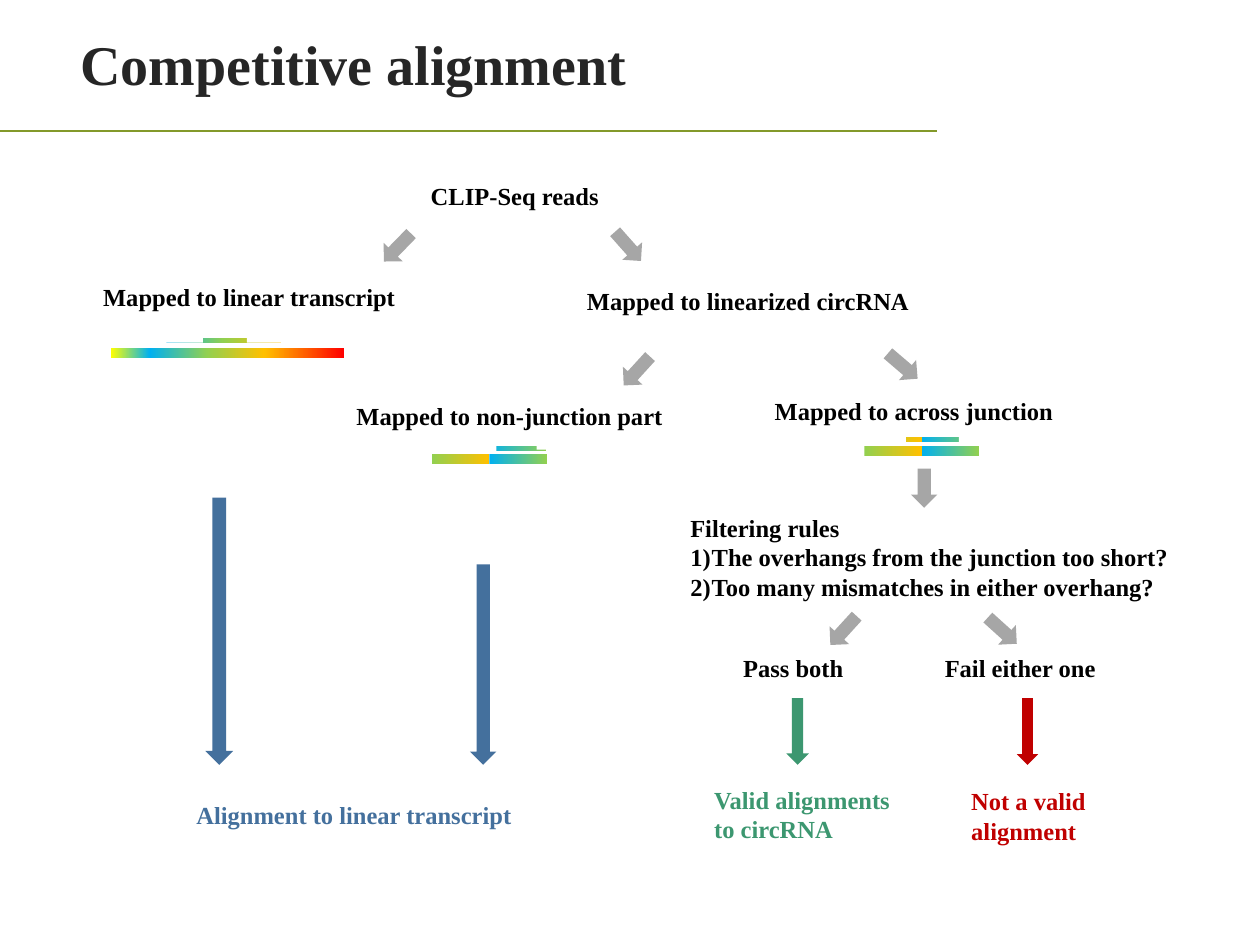
from dataclasses import dataclass

from lxml import etree
from pptx import Presentation
from pptx.dml.color import RGBColor
from pptx.enum.shapes import MSO_CONNECTOR, MSO_SHAPE
from pptx.enum.text import MSO_ANCHOR, MSO_AUTO_SIZE
from pptx.oxml.ns import qn
from pptx.util import Inches, Pt

RECTANGLE = MSO_SHAPE.RECTANGLE
DOWN_ARROW = MSO_SHAPE.DOWN_ARROW
STRAIGHT = MSO_CONNECTOR.STRAIGHT
MIDDLE = MSO_ANCHOR.MIDDLE
FIT_SHAPE = MSO_AUTO_SIZE.SHAPE_TO_FIT_TEXT
NO_FIT = MSO_AUTO_SIZE.NONE


@dataclass(frozen=True)
class Theme:
    font: str = "Times New Roman"
    title_size: int = 32
    body_size: int = 14
    title: str = "262626"
    text: str = "000000"
    rule: str = "83992A"
    step: str = "A6A6A6"
    linear: str = "44709D"
    valid: str = "3C9770"
    invalid: str = "C00000"
    mask: str = "FFFFFF"


THEME = Theme()

# Transcript segments: width, start colour, end colour
HEAD = (0.31, "FFFF00", "00B0F0")
EXON_A = (0.455, "00B0F0", "92D050")
EXON_B = (0.455, "92D050", "FFC000")
TAIL = (0.63, "FFC000", "FF0000")
LINEAR_TRANSCRIPT = (HEAD, EXON_A, EXON_B, TAIL)
CIRCULAR_TRANSCRIPT = (EXON_B, EXON_A)


def color(value):
    return RGBColor.from_string(value)


def add_block(shapes, kind, box, fill):
    shape = shapes.add_shape(kind, *(Inches(length) for length in box))
    shape.shadow.inherit = False
    shape.line.fill.background()
    if isinstance(fill, str):
        shape.fill.solid()
        shape.fill.fore_color.rgb = color(fill)
    else:
        shape.fill.gradient()
        shape.fill.gradient_angle = 0
        for stop, value in zip(shape.fill.gradient_stops, fill):
            stop.color.rgb = color(value)
    return shape


def add_arrow(slide, box, fill=THEME.step, rotation=0):
    arrow = add_block(slide.shapes, DOWN_ARROW, box, fill)
    arrow.rotation = rotation


def add_step_arrow(slide, left, top, rotation=0):
    add_arrow(slide, (left, top, 0.21, 0.31), rotation=rotation)


def add_bar(slide, left, top, height, segments, masks=()):
    """Row of gradient segments, trimmed to a read by white masks."""
    group = slide.shapes.add_group_shape()
    for width, start, end in segments:
        add_block(group.shapes, RECTANGLE, (left, top, width, height), (start, end))
        left += width
    for box in masks:
        add_block(group.shapes, RECTANGLE, box, THEME.mask)


def add_text(slide, box, text, fill=THEME.text, size=THEME.body_size,
             wrap=True, fit=FIT_SHAPE):
    frame = slide.shapes.add_textbox(*(Inches(length) for length in box)).text_frame
    frame.word_wrap = wrap
    frame.auto_size = fit
    frame.text = text
    for paragraph in frame.paragraphs:
        font = paragraph.runs[0].font
        font.name = THEME.font
        font.size = Pt(size)
        font.bold = True
        font.color.rgb = color(fill)
    return frame


def number_paragraph(paragraph):
    properties = paragraph._p.get_or_add_pPr()
    indent = Inches(0.17)
    properties.set("marL", str(indent))
    properties.set("indent", str(-indent))
    etree.SubElement(properties, qn("a:buAutoNum"), type="arabicParenR")


def add_header(slide, left, top):
    rule = slide.shapes.add_connector(
        STRAIGHT, Inches(left), Inches(top + 1.04), Inches(left + 7.44), Inches(top + 1.04))
    rule.line.color.rgb = color(THEME.rule)
    rule.line.width = Pt(1.25)
    etree.SubElement(rule._element.spPr, qn("a:effectLst"))
    frame = add_text(slide, (left + 0.54, top + 0.08, 6.89, 0.84), "Competitive alignment",
                     THEME.title, THEME.title_size, fit=NO_FIT)
    frame.vertical_anchor = MIDDLE


def add_reads(slide, left, top):
    add_text(slide, (left, top, 1.55, 0.34), "CLIP-Seq reads", wrap=False)
    add_step_arrow(slide, left - 0.27, top + 0.42, 44.2)
    add_step_arrow(slide, left + 1.56, top + 0.41, 318.5)


def add_linear_branch(slide, left, top):
    add_text(slide, (left, top, 2.54, 0.34), "Mapped to linear transcript", wrap=False)
    add_bar(slide, left + 0.16, top + 0.57, 0.08, LINEAR_TRANSCRIPT)
    add_bar(slide, left + 0.6, top + 0.49, 0.04, (EXON_A, EXON_B),
            [(left + 0.25, top + 0.48, 0.64, 0.05), (left + 1.24, top + 0.48, 0.94, 0.05)])
    add_arrow(slide, (left + 0.91, top + 1.76, 0.22, 2.12), THEME.linear)
    add_text(slide, (left + 0.74, top + 4.11, 2.72, 0.34), "Alignment to linear transcript",
             THEME.linear)


def add_circular_split(slide, left, top):
    add_text(slide, (left, top, 2.78, 0.34), "Mapped to linearized circRNA", wrap=False)
    add_step_arrow(slide, left + 0.39, top + 0.57, 42.4)
    add_step_arrow(slide, left + 2.5, top + 0.53, 310.5)


def add_non_junction_branch(slide, left, top):
    add_text(slide, (left, top, 2.65, 0.34), "Mapped to non-junction part", wrap=False)
    add_bar(slide, left + 0.7, top + 0.47, 0.08, CIRCULAR_TRANSCRIPT)
    add_bar(slide, left + 1.15, top + 0.41, 0.04, (EXON_A,),
            [(left + 0.66, top + 0.41, 0.55, 0.05), (left + 1.53, top + 0.4, 0.08, 0.04)])
    add_arrow(slide, (left + 1.0, top + 1.35, 0.21, 1.59), THEME.linear)


def add_junction_branch(slide, left, top):
    add_text(slide, (left, top, 2.43, 0.34), "Mapped to across junction", wrap=False)
    add_bar(slide, left + 0.81, top + 0.45, 0.08, CIRCULAR_TRANSCRIPT)
    add_bar(slide, left + 0.81, top + 0.38, 0.04, CIRCULAR_TRANSCRIPT,
            [(left + 0.77, top + 0.38, 0.37, 0.04), (left + 1.56, top + 0.37, 0.16, 0.06)])
    add_step_arrow(slide, left + 1.18, top + 0.63)


def add_filter(slide, left, top):
    # Rules
    frame = add_text(slide, (left, top, 4.01, 0.81),
                     "Filtering rules\nThe overhangs from the junction too short?\n"
                     "Too many mismatches in either overhang?")
    for paragraph in frame.paragraphs[1:]:
        number_paragraph(paragraph)
    add_step_arrow(slide, left + 1.21, top + 0.83, 42.4)
    add_step_arrow(slide, left + 2.47, top + 0.83, 312.1)

    # Outcomes
    add_text(slide, (left + 0.42, top + 1.11, 1.07, 0.34), "Pass both")
    add_arrow(slide, (left + 0.86, top + 1.52, 0.18, 0.53), THEME.valid)
    add_text(slide, (left + 0.19, top + 2.16, 1.6, 0.57), "Valid alignments to circRNA",
             THEME.valid)
    add_text(slide, (left + 2.02, top + 1.11, 1.47, 0.34), "Fail either one")
    add_arrow(slide, (left + 2.69, top + 1.52, 0.17, 0.53), THEME.invalid)
    add_text(slide, (left + 2.23, top + 2.17, 1.26, 0.57), "Not a valid alignment",
             THEME.invalid)


def main():
    presentation = Presentation()
    presentation.slide_width = Inches(10)
    presentation.slide_height = Inches(7.5)
    slide = presentation.slides.add_slide(presentation.slide_layouts[6])
    add_header(slide, 0, 0)
    add_reads(slide, 3.32, 1.39)
    add_linear_branch(slide, 0.72, 2.19)
    add_circular_split(slide, 4.56, 2.22)
    add_non_junction_branch(slide, 2.73, 3.13)
    add_junction_branch(slide, 6.05, 3.09)
    add_filter(slide, 5.38, 4.02)
    presentation.save("out.pptx")


if __name__ == "__main__":
    main()
